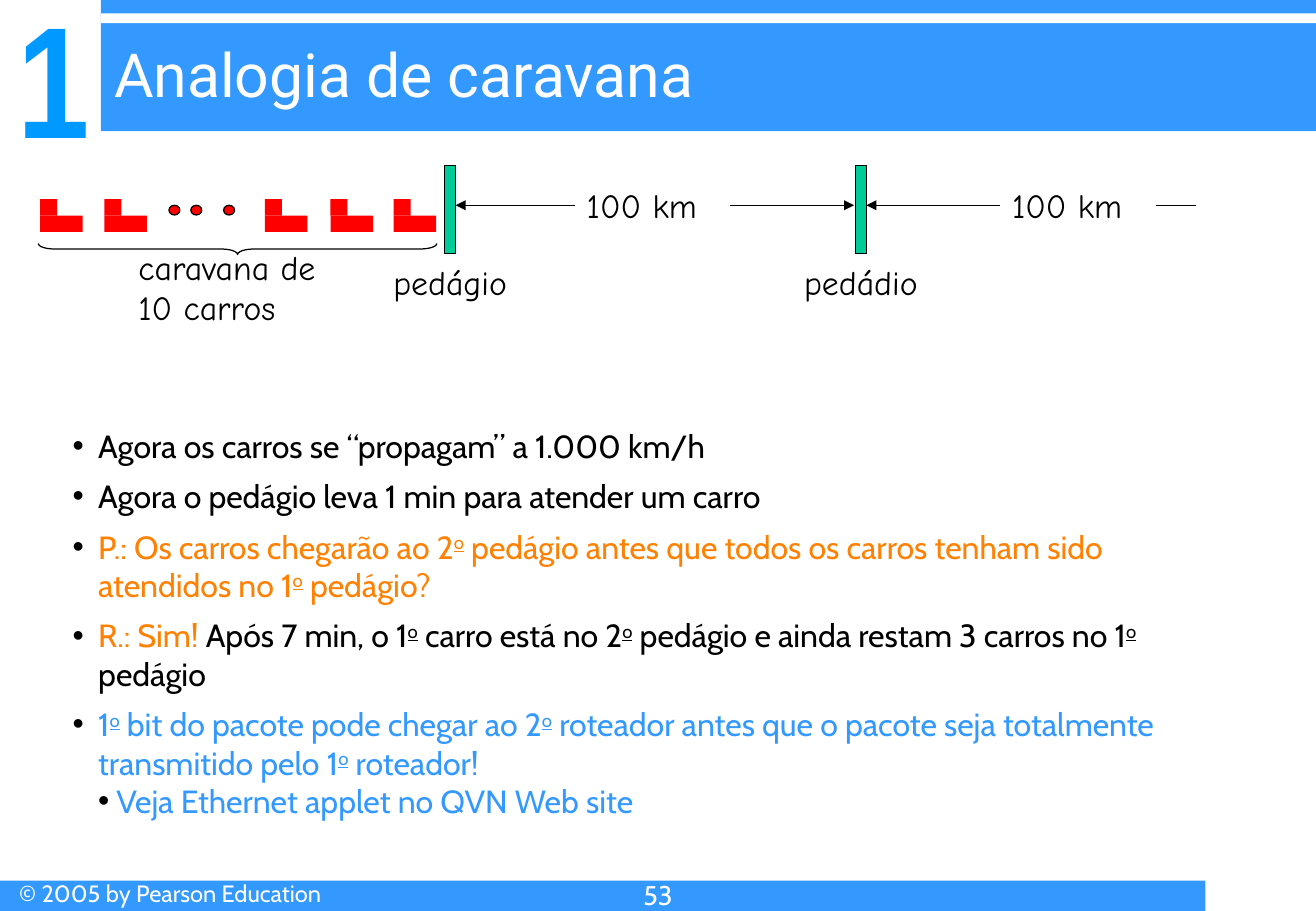
from lxml.etree import SubElement
from pptx import Presentation
from pptx.dml.color import RGBColor
from pptx.enum.shapes import MSO_CONNECTOR, MSO_SHAPE
from pptx.enum.text import MSO_ANCHOR, PP_ALIGN
from pptx.oxml.ns import qn
from pptx.util import Inches, Pt

BLUE, BRIGHT_BLUE, ORANGE = "3399FF", "0099FF", "FF8103"
GREEN, RED, BLACK, WHITE = "00CC99", "FF0000", "000000", "FFFFFF"
BODY_FONT, LABEL_FONT = "Cabin", "Comic Neue"
ORDINAL = "^o"  # stands for a raised, underlined "o"


def rgb(color):
    return RGBColor.from_string(color)


def cells(count):
    """Length of a number of grid columns or rows, each a tenth of an inch."""
    return Inches(count / 10)


def add_span(para, text, size=20, font=LABEL_FONT, color=BLACK, bold=False,
             raised=False):
    span = para.add_run()
    span.text = text
    span.font.size = Pt(size)
    span.font.name = font
    span.font.bold = bold
    span.font.color.rgb = rgb(color)
    if raised:
        span.font.underline = True
        span._r.get_or_add_rPr().set("baseline", "30000")


def add_ordinal_text(para, text, **style):
    for index, part in enumerate(text.split(ORDINAL)):
        if index:
            add_span(para, "o", raised=True, **style)
        add_span(para, part, **style)


def set_bullet(para, left, hanging):
    props = para._p.get_or_add_pPr()
    props.set("marL", str(Inches(left)))
    props.set("indent", str(-Inches(hanging)))
    SubElement(SubElement(props, qn("a:buClr")), qn("a:srgbClr"), val=BLACK)
    SubElement(props, qn("a:buFont"), typeface="Arial")
    SubElement(props, qn("a:buChar"), char="•")


class SlideBuilder:
    def __init__(self, width, height):
        self.deck = Presentation()
        self.deck.slide_width = Inches(width)
        self.deck.slide_height = Inches(height)
        self.page = self.deck.slides.add_slide(self.deck.slide_layouts[6])

    def shape(self, kind, left, top, width, height, fill=None, line=None):
        shape = self.page.shapes.add_shape(
            kind, cells(left), cells(top), cells(width), cells(height))
        shape.shadow.inherit = False
        if fill:
            shape.fill.solid()
            shape.fill.fore_color.rgb = rgb(fill)
        else:
            shape.fill.background()
        if line:
            shape.line.color.rgb = rgb(line)
            shape.line.width = Pt(0.75)
        else:
            shape.line.fill.background()
        return shape

    def rect(self, *place, **style):
        return self.shape(MSO_SHAPE.RECTANGLE, *place, **style)

    def box(self, left, top, width, height, anchor=MSO_ANCHOR.TOP):
        box = self.page.shapes.add_textbox(
            cells(left), cells(top), cells(width), cells(height))
        box.text_frame.word_wrap = True
        box.text_frame.vertical_anchor = anchor
        return box

    def text(self, text, *place, align=PP_ALIGN.LEFT, anchor=MSO_ANCHOR.TOP,
             **style):
        box = self.box(*place, anchor=anchor)
        frame = box.text_frame
        for index, words in enumerate(text.split("\n")):
            para = frame.add_paragraph() if index else frame.paragraphs[0]
            para.alignment = align
            add_span(para, words, **style)
        return box

    def line(self, start, end, row, arrow=True, label=None, side=None):
        line = self.page.shapes.add_connector(
            MSO_CONNECTOR.STRAIGHT, cells(start), cells(row), cells(end),
            cells(row))
        line.line.color.rgb = rgb(BLACK)
        line.line.width = Pt(0.75)
        if arrow:
            SubElement(line.line._get_or_add_ln(), qn("a:tailEnd"),
                       type="triangle")
        SubElement(line._element.spPr, qn("a:effectLst"))
        if label is not None:
            line.begin_connect(label, side)

    def car(self, left, top):
        self.rect(left, top + 1.35, 3.5, 1.35, fill=RED)
        self.rect(left, top, 1.4, 1.35, fill=RED)

    def toll(self, left, name):
        self.rect(left, 13.6, 0.9, 7.3, fill=GREEN, line=BLACK)
        self.text(name, left - 6.05, 21.1, 13, 4.4, align=PP_ALIGN.CENTER)

    def bullets(self, items, *place):
        frame = self.box(*place).text_frame
        for index, (parts, left, hanging, after) in enumerate(items):
            para = frame.add_paragraph() if index else frame.paragraphs[0]
            set_bullet(para, left, hanging)
            para.space_after = Pt(after)
            for text, color in parts:
                add_ordinal_text(para, text, size=19, font=BODY_FONT,
                                 color=color)


def main():
    slide = SlideBuilder(10.83, 7.5)

    # Header
    slide.rect(8.3, 0, 100, 10.8, fill=BLUE)
    slide.rect(8.3, 1.1, 100, 0.8, fill=WHITE)
    chapter = slide.text("1", 0.3, -1.7, 8.3, 15.7, align=PP_ALIGN.CENTER,
                         anchor=MSO_ANCHOR.BOTTOM, size=94,
                         font="Arial Narrow", color=BRIGHT_BLUE, bold=True)
    frame = chapter.text_frame
    frame.margin_left = frame.margin_right = 0
    frame.margin_top = frame.margin_bottom = 0
    slide.text("Analogia de caravana", 8.4, 2.5, 99.9, 6.7, size=36,
               font="Roboto", color=WHITE)

    # Footer
    slide.rect(0, 72.5, 99.2, 2.5, fill=BLUE)
    slide.text("© 2005 by Pearson Education", 0.6, 71.9, 33.3, 3.4, size=14,
               font=BODY_FONT, color=WHITE)
    slide.text("53", 0, 71.8, 108.3, 3.2, align=PP_ALIGN.CENTER, size=16,
               font=BODY_FONT, color=WHITE)

    # Caravan
    for left in (3.3, 8.6, 21.8, 27.2, 32.4):
        slide.car(left, 16.4)
    for left in (13.9, 15.7, 18.4):
        slide.shape(MSO_SHAPE.OVAL, left, 16.9, 0.9, 0.8, fill=RED, line=BLACK)
    brace = slide.shape(MSO_SHAPE.LEFT_BRACE, 19.1, 4.1, 0.9, 32.8, line=BLACK)
    brace.rotation = 270
    brace.adjustments[0] = 1.5
    slide.text("caravana de\n10 carros", 10.4, 19.8, 20, 7.7)

    # Tolls and distances
    slide.toll(36.6, "pedágio")
    slide.toll(70.4, "pedádio")
    row = 16.9
    near, far = (slide.text("100 km", left, row - 2.2, 12.8, 4.4)
                 for left in (47.3, 82.3))
    slide.line(47.3, 37.5, row, label=near, side=1)
    slide.line(60.1, 70.3, row, label=near, side=3)
    slide.line(82.3, 71.3, row, label=far, side=1)
    slide.line(95.1, 98.4, row, arrow=False, label=far, side=3)

    # Questions and answers: parts, left indent, hanging indent, space after
    slide.bullets([
        ([("Agora os carros se “propagam” a 1.000 km/h", BLACK)],
         0.21, 0.21, 7.1),
        ([("Agora o pedágio leva 1 min para atender um carro", BLACK)],
         0.21, 0.21, 7.1),
        ([("P.: Os carros chegarão ao 2^o pedágio antes que todos os carros "
           "tenham sido atendidos no 1^o pedágio?", ORANGE)], 0.21, 0.21, 7.1),
        ([("R.: Sim!", ORANGE),
          (" Após 7 min, o 1^o carro está no 2^o pedágio e ainda restam "
           "3 carros no 1^o pedágio", BLACK)], 0.21, 0.21, 7.1),
        ([("1^o bit do pacote pode chegar ao 2^o roteador antes que o pacote "
           "seja totalmente transmitido pelo 1^o roteador!", BLUE)],
         0.21, 0.21, 0),
        ([("Veja Ethernet applet no QVN Web site", BLUE)], 0.36, 0.15, 0),
    ], 5, 34.6, 96.1, 33.8)

    slide.deck.save("out.pptx")


if __name__ == "__main__":
    main()
